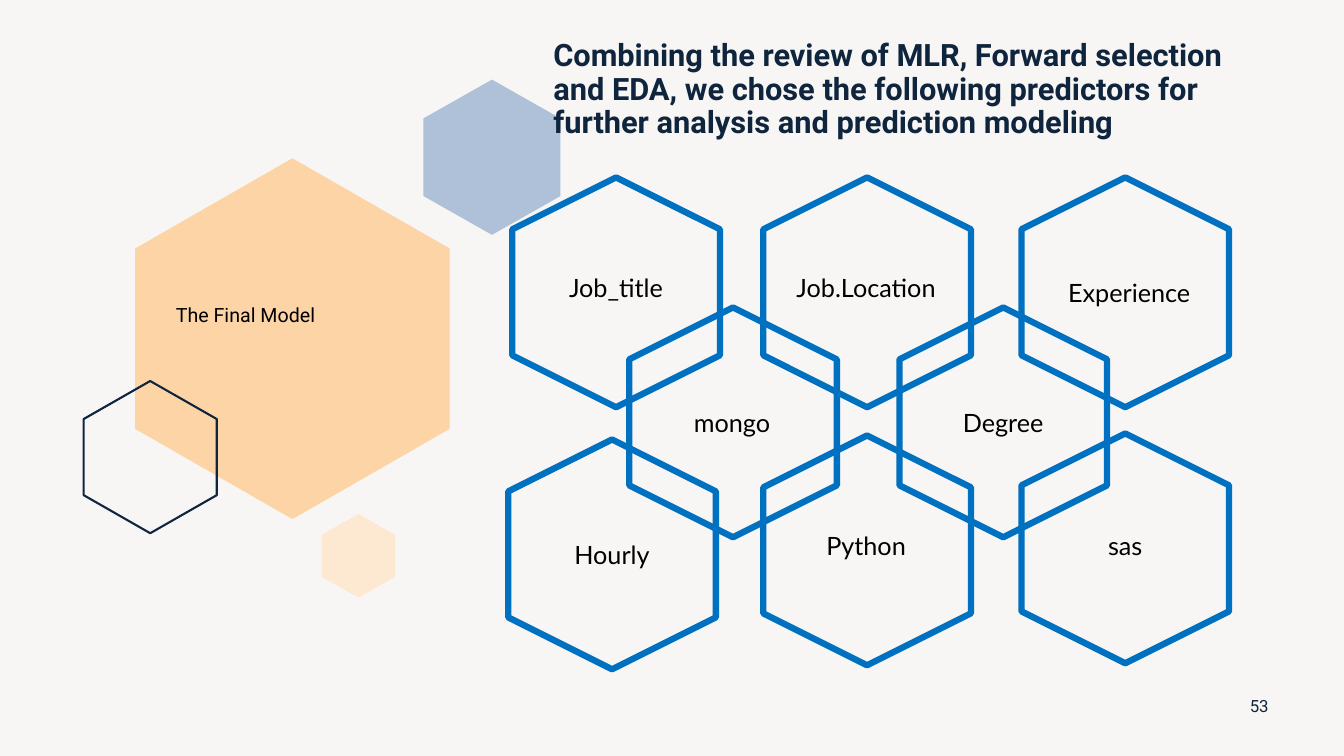
from dataclasses import dataclass

from pptx import Presentation
from pptx.dml.color import RGBColor
from pptx.enum.shapes import MSO_SHAPE
from pptx.enum.text import MSO_ANCHOR, PP_ALIGN
from pptx.util import Inches, Pt

HEXAGON = MSO_SHAPE.HEXAGON
TOP, MIDDLE, BOTTOM = MSO_ANCHOR.TOP, MSO_ANCHOR.MIDDLE, MSO_ANCHOR.BOTTOM
LEFT, CENTER = PP_ALIGN.LEFT, PP_ALIGN.CENTER


@dataclass(frozen=True)
class Theme:
    """Colours, fonts and sizes of the slide."""
    paper: str = "F8F6F5"
    navy: str = "0F253E"
    black: str = "000000"
    blue: str = "0070C0"
    steel: str = "AEC1D8"
    peach: str = "FCD4A6"
    cream: str = "FDE9D2"
    head_font: str = "Roboto"
    label_font: str = "Lato"
    title_size: int = 22
    label_size: int = 18
    model_size: int = 14
    number_size: int = 12
    thick: float = 4.5
    thin: float = 1.5


THEME = Theme()

TITLE = ("Combining the review of MLR, Forward selection and EDA, we chose "
         "the following predictors for further analysis and prediction modeling")

DECOR = [
    (4.2, 0.79, 1.36, 1.54, THEME.steel, None),
    (1.34, 1.57, 3.12, 3.58, THEME.peach, None),
    (0.83, 3.78, 1.32, 1.51, None, THEME.navy),
    (3.19, 5.1, 0.73, 0.83, THEME.cream, None),
]

HEX_SIZE = (2.28, 2.06)
LABEL_SIZE = (1.74, 0.4)
PREDICTORS = [
    ("Job_title", (4.97, 1.87), (5.24, 2.65)),
    ("Job.Location", (7.46, 1.87), (7.72, 2.65)),
    ("Experience", (10.02, 1.87), (10.33, 2.7)),
    ("mongo", (6.13, 3.16), (6.39, 3.99)),
    ("Degree", (8.81, 3.16), (9.08, 3.99)),
    ("Hourly", (4.93, 4.47), (5.2, 5.3)),
    ("Python", (7.46, 4.43), (7.72, 5.21)),
    ("sas", (10.02, 4.41), (10.29, 5.21)),
]


def paint(sp, fill, line, weight):
    """Set fill and outline of a shape, either of which may be None."""
    sp.shadow.inherit = False
    for part, color in ((sp.fill, fill), (sp.line.fill, line)):
        if color:
            part.solid()
            part.fore_color.rgb = RGBColor.from_string(color)
        else:
            part.background()
    if line:
        sp.line.width = Pt(weight)


def add_upright_hexagon(s, x, y, w, h, fill, line):
    """Draw a decorative hexagon standing on a corner."""
    mid, right = x + w / 2, x + w
    upper, lower = y + h / 4, y + h * 3 / 4
    corners = [(right, upper), (right, lower), (mid, y + h), (x, lower), (x, upper)]
    builder = s.shapes.build_freeform(Inches(mid), Inches(y))
    builder.add_line_segments([(Inches(a), Inches(b)) for a, b in corners])
    paint(builder.convert_to_shape(), fill, line, THEME.thin)


def add_predictor_hexagon(s, position):
    """Draw the blue outline around one predictor."""
    sp = s.shapes.add_shape(HEXAGON, *map(Inches, position + HEX_SIZE))
    sp.rotation = 90
    paint(sp, None, THEME.blue, THEME.thick)


def add_text(s, text, box, size, font=THEME.head_font, color=THEME.navy,
             bold=False, align=CENTER, anchor=MIDDLE, spacing=1.0):
    """Place one wrapped paragraph in a text box."""
    tf = s.shapes.add_textbox(*map(Inches, box)).text_frame
    p = tf.paragraphs[0]
    r = p.add_run()
    r.text = text
    formats = [
        (tf, {"word_wrap": True, "vertical_anchor": anchor}),
        (p, {"alignment": align, "line_spacing": spacing}),
        (r.font, {"name": font, "size": Pt(size), "bold": bold}),
    ]
    for target, values in formats:
        for name, value in values.items():
            setattr(target, name, value)
    r.font.color.rgb = RGBColor.from_string(color)


def main():
    """Build the slide and save it."""
    prs = Presentation()
    prs.slide_width, prs.slide_height = Inches(13.33), Inches(7.5)
    s = prs.slides.add_slide(prs.slide_layouts[6])
    s.background.fill.solid()
    s.background.fill.fore_color.rgb = RGBColor.from_string(THEME.paper)

    for decor in DECOR:
        add_upright_hexagon(s, *decor)
    add_text(s, TITLE, (5.39, 0.2, 7.36, 1.24), THEME.title_size,
             bold=True, align=LEFT, anchor=BOTTOM, spacing=0.9)
    add_text(s, "53", (12.24, 6.8, 0.5, 0.4), THEME.number_size)
    add_text(s, "The Final Model", (1.39, 2.5, 2.09, 1.21), THEME.model_size,
             color=THEME.black, spacing=1.13)
    for name, hexagon_at, label_at in PREDICTORS:
        add_predictor_hexagon(s, hexagon_at)
        add_text(s, name, label_at + LABEL_SIZE, THEME.label_size,
                 font=THEME.label_font, color=THEME.black, anchor=TOP)

    prs.save("out.pptx")


if __name__ == "__main__":
    main()
